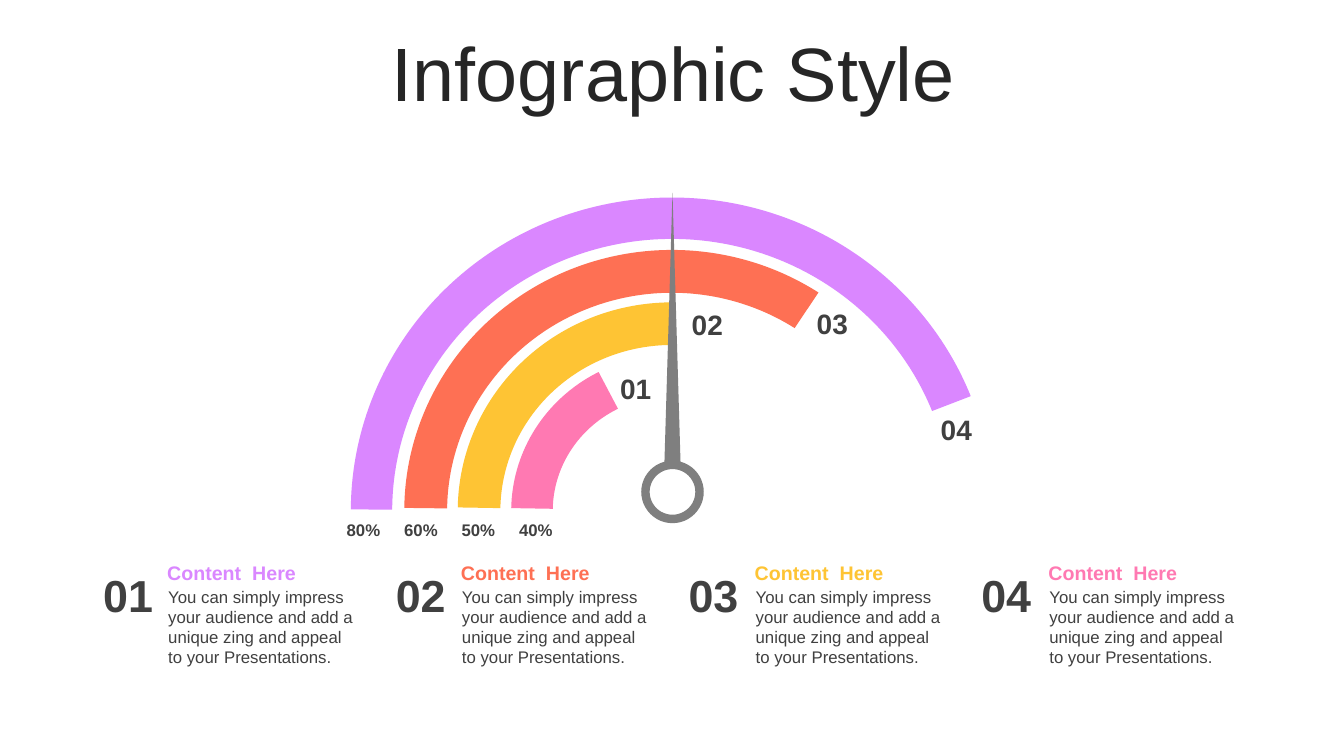
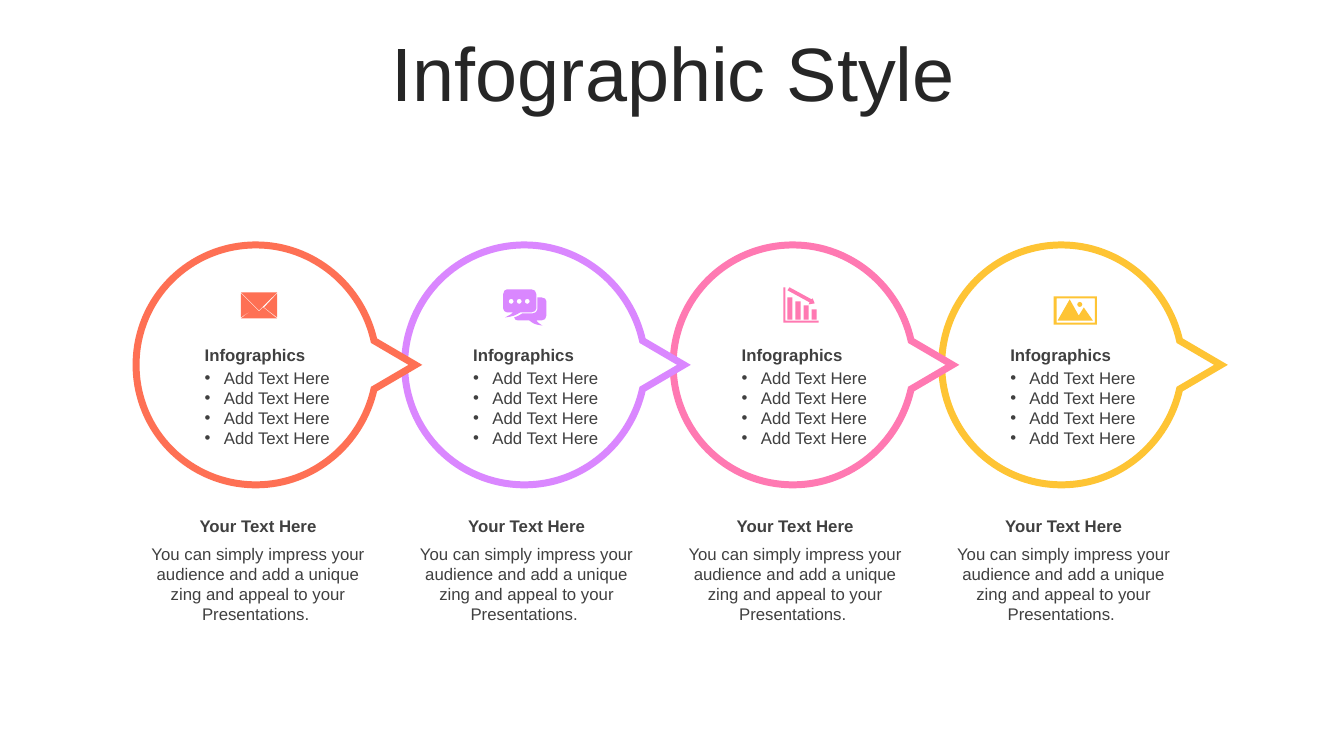
import dataclasses
import typing

import lxml.etree
import pptx
import pptx.dml.color
import pptx.enum.shapes
import pptx.enum.text
import pptx.oxml.ns
import pptx.slide
import pptx.util

Inches = pptx.util.Inches
RGBColor = pptx.dml.color.RGBColor
Align = pptx.enum.text.PP_ALIGN
Anchor = pptx.enum.text.MSO_ANCHOR
Fit = pptx.enum.text.MSO_AUTO_SIZE
Preset = pptx.enum.shapes.MSO_SHAPE
qn = pptx.oxml.ns.qn
Slide = pptx.slide.Slide
# Two numbers end a straight line, six numbers a Bezier curve
Loop = typing.List[typing.Tuple[float, ...]]

# Shared look
FONT = "Arial"
PURPLE = RGBColor(0xDA, 0x87, 0xFF)
CORAL = RGBColor(0xFE, 0x70, 0x54)
YELLOW = RGBColor(0xFE, 0xC4, 0x34)
PINK = RGBColor(0xFF, 0x79, 0xB2)
WHITE = RGBColor(0xFF, 0xFF, 0xFF)
GRAY = RGBColor(0x7F, 0x7F, 0x7F)
INK = RGBColor(0x40, 0x40, 0x40)
BLACK = RGBColor(0x26, 0x26, 0x26)
TITLE = "Infographic Style"
BODY = ("You can simply impress your audience and add a unique "
        "zing and appeal to your Presentations.")


@dataclasses.dataclass
class Box:
    left: float
    top: float
    width: float
    height: float

    def place(self) -> typing.Tuple[int, int, int, int]:
        return (Inches(self.left), Inches(self.top),
                Inches(self.width), Inches(self.height))


@dataclasses.dataclass
class Style:
    size: int = 12
    color: RGBColor = INK
    bold: bool = False
    align: Align = Align.LEFT
    anchor: Anchor = Anchor.TOP
    inset: float = 0.1
    bullet: bool = False


@dataclasses.dataclass
class Band:
    color: RGBColor
    start: float
    end: float
    thick: float
    share: str


@dataclasses.dataclass
class Tag:
    text: str
    left: float
    top: float


@dataclasses.dataclass
class Stage:
    color: RGBColor
    icon: typing.List[Loop]


# Drawing tools
def set_font(para, style: Style) -> None:
    para.alignment = style.align
    para.font.name = FONT
    para.font.size = pptx.util.Pt(style.size)
    para.font.bold = style.bold
    para.font.color.rgb = style.color


def add_bullet(para) -> None:
    props = para._p.get_or_add_pPr()
    props.set("marL", str(Inches(0.19)))
    props.set("indent", str(-Inches(0.19)))
    lxml.etree.SubElement(props, qn("a:buFont"), typeface=FONT)
    lxml.etree.SubElement(props, qn("a:buChar"), char="•")


def add_text(slide: Slide, box: Box, text: str, style: Style) -> None:
    frame = slide.shapes.add_textbox(*box.place()).text_frame
    frame.word_wrap = True
    frame.auto_size = Fit.SHAPE_TO_FIT_TEXT
    frame.vertical_anchor = style.anchor
    frame.margin_left = Inches(style.inset)
    frame.text = text
    for para in frame.paragraphs:
        if style.bullet:
            add_bullet(para)
        set_font(para, style)


def paint(shape, color: RGBColor) -> None:
    shape.shadow.inherit = False
    shape.fill.solid()
    shape.fill.fore_color.rgb = color
    shape.line.fill.background()


def add_preset(slide: Slide, kind: Preset, box: Box, color: RGBColor,
               adjust: typing.Sequence[float]):
    shape = slide.shapes.add_shape(kind, *box.place())
    for i, value in enumerate(adjust):
        shape.adjustments[i] = value
    paint(shape, color)
    return shape


def add_outline(slide: Slide, loops: typing.List[Loop], color: RGBColor):
    pen = slide.shapes.build_freeform(*map(Inches, loops[0][0]))
    for i, loop in enumerate(loops):
        if i:
            pen.move_to(*map(Inches, loop[0]))
        points = [(Inches(step[n]), Inches(step[n + 1]))
                  for step in loop[1:] for n in range(0, len(step), 2)]
        pen.add_line_segments(points, close=True)
    shape = pen.convert_to_shape()
    # Join each three points of a curve into one Bezier segment
    lines = iter(list(shape._element.iter(qn("a:lnTo"))))
    for step in (step for loop in loops for step in loop[1:]):
        line = next(lines)
        if len(step) == 6:
            line.tag = qn("a:cubicBezTo")
            for extra in (next(lines), next(lines)):
                line.append(extra[0])
                extra.getparent().remove(extra)
    paint(shape, color)
    return shape


def dot(x: float, y: float, radius: float) -> Loop:
    r, k = radius, radius * 0.55
    return [(x, y - r),
            (x - k, y - r, x - r, y - k, x - r, y),
            (x - r, y + k, x - k, y + r, x, y + r),
            (x + k, y + r, x + r, y + k, x + r, y),
            (x + r, y - k, x + k, y - r, x, y - r)]


def block(left: float, top: float, right: float, base: float) -> Loop:
    return [(left, top), (right, top), (right, base), (left, base)]


def add_slide(deck) -> Slide:
    slide = deck.slides.add_slide(deck.slide_layouts[5])
    title = slide.shapes.title
    title.left, title.top, title.width, title.height = Box(
        0.35, 0.37, 12.66, 0.79).place()
    frame = title.text_frame
    frame.text = TITLE
    frame.auto_size = Fit.NONE
    frame.vertical_anchor = Anchor.MIDDLE
    frame.paragraphs[0].line_spacing = 0.9
    set_font(frame.paragraphs[0], Style(54, BLACK, align=Align.CENTER))
    return slide


# Slide 1: gauge
BANDS = [Band(PURPLE, 120.62, 215.83, 0.066, "80%"),
         Band(CORAL, 141.7, 215.6, 0.082, "60%"),
         Band(YELLOW, 162.07, 215.42, 0.102, "50%"),
         Band(PINK, 178.7, 215.37, 0.133, "40%")]
TAGS = [Tag("04", 9.21, 4.04), Tag("03", 7.98, 2.99),
        Tag("02", 6.74, 3), Tag("01", 6.03, 3.64)]


def draw_gauge(slide: Slide) -> None:
    for i, band in enumerate(BANDS):
        box = Box(3.48 + 0.53 * i, 1.96 + 0.52 * i,
                  6.37 - 1.06 * i, 6.22 - 1.04 * i)
        arc = add_preset(slide, Preset.BLOCK_ARC, box, band.color,
                         (band.start, band.end, band.thick))
        arc._element.spPr.xfrm.set("flipH", "1")

    # Hub
    add_preset(slide, Preset.DONUT, Box(6.17, 4.38, 1, 1), WHITE, [0.083])
    add_preset(slide, Preset.DONUT, Box(6.36, 4.57, 0.62, 0.62), GRAY,
               [0.135])

    # Shares and notes below the gauge
    for i, band in enumerate(BANDS):
        add_text(slide, Box(3.22 + 0.57 * i, 5.11, 0.77, 0.3), band.share,
                 Style(bold=True, align=Align.CENTER, anchor=Anchor.MIDDLE))
        left = 1.56 + 8.74 * i / 3
        add_text(slide, Box(left, 5.51, 2.06, 0.34), "Content  Here",
                 Style(14, band.color, True, anchor=Anchor.MIDDLE))
        add_text(slide, Box(left + 0.01, 5.77, 2.06, 0.91), BODY, Style())
        add_text(slide, Box(0.85 + 8.71 * i / 3, 5.58, 0.84, 0.64),
                 f"0{i + 1}", Style(32, bold=True, align=Align.CENTER))

    # Arc numbers and needle
    for tag in TAGS:
        add_text(slide, Box(tag.left, tag.top, 0.55, 0.44), tag.text,
                 Style(20, bold=True, align=Align.CENTER))
    add_preset(slide, Preset.ISOSCELES_TRIANGLE,
               Box(6.59, 1.91, 0.16, 2.68), GRAY, [0.5])


# Slide 2: chain of bubbles
MAIL = [
    [(2.61, 3.05), (2.75, 3.16), (2.39, 3.16), (2.53, 3.05), (2.57, 3.09)],
    [(2.75, 2.91), (2.75, 3.15), (2.62, 3.05)],
    [(2.39, 2.91), (2.53, 3.05), (2.39, 3.15)],
    [(2.39, 2.9), (2.75, 2.9), (2.57, 3.08)],
]
CHAT = [
    *[dot(5.23 - 0.08 * i, 2.99, 0.025) for i in range(3)],
    # Rear balloon
    [(5.33, 2.95), (5.37, 2.95), (5.4, 2.95, 5.42, 2.97, 5.42, 2.99),
     (5.42, 3.13), (5.42, 3.16, 5.4, 3.18, 5.37, 3.18), (5.32, 3.18),
     (5.33, 3.19, 5.33, 3.2, 5.38, 3.23),
     (5.3, 3.22, 5.29, 3.21, 5.25, 3.18), (5.14, 3.18),
     (5.12, 3.18, 5.1, 3.17, 5.1, 3.15),
     (5.13, 3.14, 5.15, 3.13, 5.18, 3.11), (5.28, 3.11),
     (5.31, 3.11, 5.33, 3.09, 5.33, 3.07)],
    # Front balloon
    [(5.03, 2.87), (5.27, 2.87), (5.3, 2.87, 5.32, 2.89, 5.32, 2.92),
     (5.32, 3.06), (5.32, 3.08, 5.3, 3.1, 5.27, 3.1), (5.16, 3.1),
     (5.11, 3.13, 5.09, 3.14, 5.01, 3.15),
     (5.06, 3.12, 5.06, 3.13, 5.09, 3.1), (5.03, 3.1),
     (5.01, 3.1, 4.99, 3.08, 4.99, 3.06), (4.99, 2.92),
     (4.99, 2.89, 5.01, 2.87, 5.03, 2.87)],
]
CHART = [
    *[block(7.81 + 0.08 * i, 2.95 + 0.04 * i, 7.86 + 0.08 * i, 3.17)
      for i in range(4)],
    [(7.83, 2.85), (8.05, 2.97), (8.06, 2.96), (8.08, 3.01), (8.02, 3.02),
     (8.03, 3), (7.81, 2.88)],
    [(7.77, 2.85), (7.79, 2.85), (7.79, 3.18), (8.12, 3.18), (8.12, 3.2),
     (7.77, 3.2)],
]
PHOTO = [
    dot(10.71, 3.02, 0.025),
    [(10.61, 2.97), (10.7, 3.13), (10.75, 3.05), (10.84, 3.18),
     (10.49, 3.18)],
    block(10.48, 2.96, 10.86, 3.2),
    block(10.45, 2.94, 10.88, 3.22),
]
STAGES = [Stage(CORAL, MAIL), Stage(PURPLE, CHAT),
          Stage(PINK, CHART), Stage(YELLOW, PHOTO)]


def draw_bubble(slide: Slide, x: float, color: RGBColor) -> None:
    y, r, k = 3.62, 1.19, 0.66
    rim = [(x, y - r),
           (x + 0.57, y - r, x + 1.05, y - 0.78, x + 1.17, y - 0.24),
           (x + 1.58, y), (x + 1.17, y + 0.24),
           (x + 1.05, y + 0.78, x + 0.57, y + r, x, y + r),
           (x - k, y + r, x - r, y + k, x - r, y),
           (x - r, y - k, x - k, y - r, x, y - r)]
    bubble = add_outline(slide, [rim], WHITE)
    bubble.line.color.rgb = color
    bubble.line.width = pptx.util.Pt(5)
    lxml.etree.SubElement(bubble.line._get_or_add_ln(), qn("a:miter"),
                          lim="800000")


def draw_chain(slide: Slide) -> None:
    shifts = [7.99 * i / 3 for i in range(len(STAGES))]
    # Each bubble's tip lies over the next bubble
    for shift, stage in reversed(list(zip(shifts, STAGES))):
        draw_bubble(slide, 2.54 + shift, stage.color)
        add_text(slide, Box(1.83 + shift, 3.37, 1.69, 0.3), "Infographics",
                 Style(bold=True, anchor=Anchor.MIDDLE, inset=0.2))
        add_text(slide, Box(1.83 + shift, 3.59, 1.69, 0.91),
                 "\n".join(["Add Text Here"] * 4),
                 Style(anchor=Anchor.MIDDLE, inset=0.2, bullet=True))

    # Captions and icons
    middle = Style(align=Align.CENTER)
    for shift in shifts:
        add_text(slide, Box(1.36 + shift, 5.07, 2.4, 0.3), "Your Text Here",
                 dataclasses.replace(middle, bold=True))
        add_text(slide, Box(1.36 + shift, 5.34, 2.4, 0.91), BODY + " ",
                 middle)
    for stage in STAGES:
        add_outline(slide, stage.icon, stage.color)


def main() -> None:
    deck = pptx.Presentation()
    deck.slide_width = Inches(13.33)
    deck.slide_height = Inches(7.5)
    draw_gauge(add_slide(deck))
    draw_chain(add_slide(deck))
    deck.save("out.pptx")


if __name__ == "__main__":
    main()
